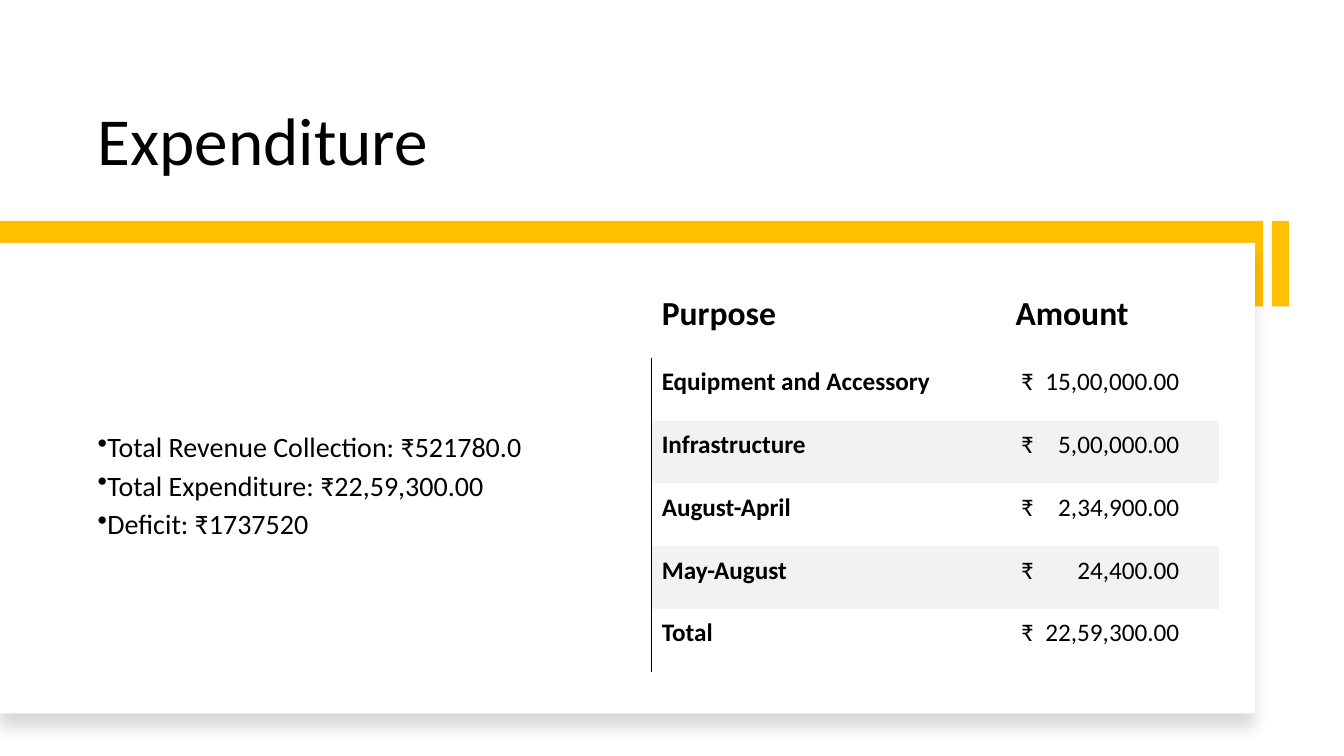
from lxml.etree import SubElement
from pptx import Presentation
from pptx.dml.color import RGBColor
from pptx.enum.shapes import MSO_SHAPE
from pptx.enum.text import MSO_ANCHOR
from pptx.oxml import parse_xml
from pptx.oxml.ns import nsdecls, qn
from pptx.util import Pt

BLACK, WHITE, AMBER, GREY = "000000", "FFFFFF", "FFC000", "F2F2F2"
NO_STYLE = "{2D5ABB26-0587-4C30-8999-92F81FD0307C}"

EXPENSES = [
    ("Purpose", "Amount"),
    ("Equipment and Accessory", " ₹\t15,00,000.00"),
    ("Infrastructure", " ₹\t5,00,000.00"),
    ("August-April", " ₹\t2,34,900.00"),
    ("May-August", " ₹\t24,400.00"),
    ("Total", " ₹\t22,59,300.00"),
]
SUMMARY = [
    "Total Revenue Collection: ₹521780.0",
    "Total Expenditure: ₹22,59,300.00",
    "Deficit: ₹1737520",
]


def color(hex_value):
    return RGBColor.from_string(hex_value)


def apply(target, values):
    for attribute, value in values.items():
        setattr(target, attribute, value)


class SlideBuilder:
    font_name = "Calibri"
    text_color = BLACK
    cell_format = {
        "vertical_anchor": MSO_ANCHOR.BOTTOM,
        "margin_left": Pt(7.6), "margin_right": Pt(7.6),
        "margin_top": Pt(2.2), "margin_bottom": Pt(16.6),
    }

    def __init__(self, slide):
        self.shapes = slide.shapes

    def fill_paragraph(self, paragraph, text, size, bold=False, **spacing):
        apply(paragraph, spacing)
        run = paragraph.add_run()
        run.text = text
        apply(run.font, {"name": self.font_name, "size": Pt(size), "bold": bold})
        run.font.color.rgb = color(self.text_color)

    def text(self, box, lines, size, anchor, bullet=None, space_after=0):
        frame = self.shapes.add_textbox(*map(Pt, box)).text_frame
        apply(frame, {"word_wrap": True, "vertical_anchor": anchor})
        for index, line in enumerate(lines):
            paragraph = frame.add_paragraph() if index else frame.paragraphs[0]
            self.fill_paragraph(paragraph, line, size, line_spacing=0.9,
                                space_after=Pt(space_after))
            if bullet:
                properties = paragraph._p.get_or_add_pPr()
                properties.set("marL", "0")
                properties.set("indent", str(-Pt(18)))
                SubElement(properties, qn("a:buChar"), char=bullet)

    def rectangle(self, box, fill):
        shape = self.shapes.add_shape(MSO_SHAPE.RECTANGLE, *map(Pt, box))
        shape.shadow.inherit = False
        shape.fill.solid()
        shape.fill.fore_color.rgb = color(fill)
        shape.line.fill.background()
        return shape

    def card(self, box, fill):
        shape = self.rectangle(box, fill)
        effects = shape._element.spPr.find(qn("a:effectLst"))
        effects.append(parse_xml(
            f'<a:outerShdw {nsdecls("a")} blurRad="{Pt(11)}" dist="{Pt(10)}" '
            f'dir="5400000" algn="t" rotWithShape="0"><a:srgbClr val="{BLACK}">'
            '<a:alpha val="15000"/></a:srgbClr></a:outerShdw>'))

    def left_border(self, cell):
        cell._tc.get_or_add_tcPr().insert(0, parse_xml(
            f'<a:lnL {nsdecls("a")} w="{Pt(0.75)}"><a:solidFill>'
            f'<a:srgbClr val="{BLACK}"/></a:solidFill></a:lnL>'))

    def right_tab(self, paragraph, position):
        tabs = SubElement(paragraph._p.get_or_add_pPr(), qn("a:tabLst"))
        SubElement(tabs, qn("a:tab"), pos=str(Pt(position)), algn="r")

    def table(self, box, rows, widths, heights, amount_tab):
        grid = self.shapes.add_table(len(rows), len(widths), *map(Pt, box)).table
        apply(grid, {"first_row": False, "horz_banding": False})
        grid._tbl.tblPr.find(qn("a:tableStyleId")).text = NO_STYLE
        for column, width in zip(grid.columns, widths):
            column.width = Pt(width)
        for row, height in zip(grid.rows, heights):
            row.height = Pt(height)
        for r, row in enumerate(rows):
            is_header = r == 0
            for c, text in enumerate(row):
                cell = grid.cell(r, c)
                apply(cell, self.cell_format)
                # Every second body row is shaded
                if r and r % 2 == 0:
                    cell.fill.solid()
                    cell.fill.fore_color.rgb = color(GREY)
                else:
                    cell.fill.background()
                if c == 0 and not is_header:
                    self.left_border(cell)
                paragraph = cell.text_frame.paragraphs[0]
                self.fill_paragraph(paragraph, text, 24 if is_header else 18,
                                    bold=is_header or c == 0,
                                    line_spacing=1.07, space_after=Pt(8))
                if c and not is_header:
                    self.right_tab(paragraph, amount_tab)


def main():
    deck = Presentation()
    apply(deck, {"slide_width": Pt(960), "slide_height": Pt(540)})
    builder = SlideBuilder(deck.slides.add_slide(deck.slide_layouts[6]))

    # Heading
    builder.text((62.6, 30.2, 792.7, 102.2), ["Expenditure"], 48, MSO_ANCHOR.BOTTOM)

    # Amber band with its end bar, and the card in front
    builder.rectangle((0, 157.7, 902.2, 61.2), AMBER)
    builder.card((0, 173.5, 896.4, 336.2), WHITE)
    builder.rectangle((908.6, 157.7, 12.2, 61.2), AMBER)

    # Totals
    builder.text((62.6, 204.5, 357.1, 286.6), SUMMARY, 20, MSO_ANCHOR.MIDDLE,
                 bullet="•", space_after=6)

    # Spending by purpose
    builder.table((465.1, 203, 405.3, 277.2), EXPENSES, widths=(252.7, 152.6),
                  heights=[52.6] + [44.9] * 5, amount_tab=117)

    deck.save("out.pptx")


if __name__ == "__main__":
    main()
